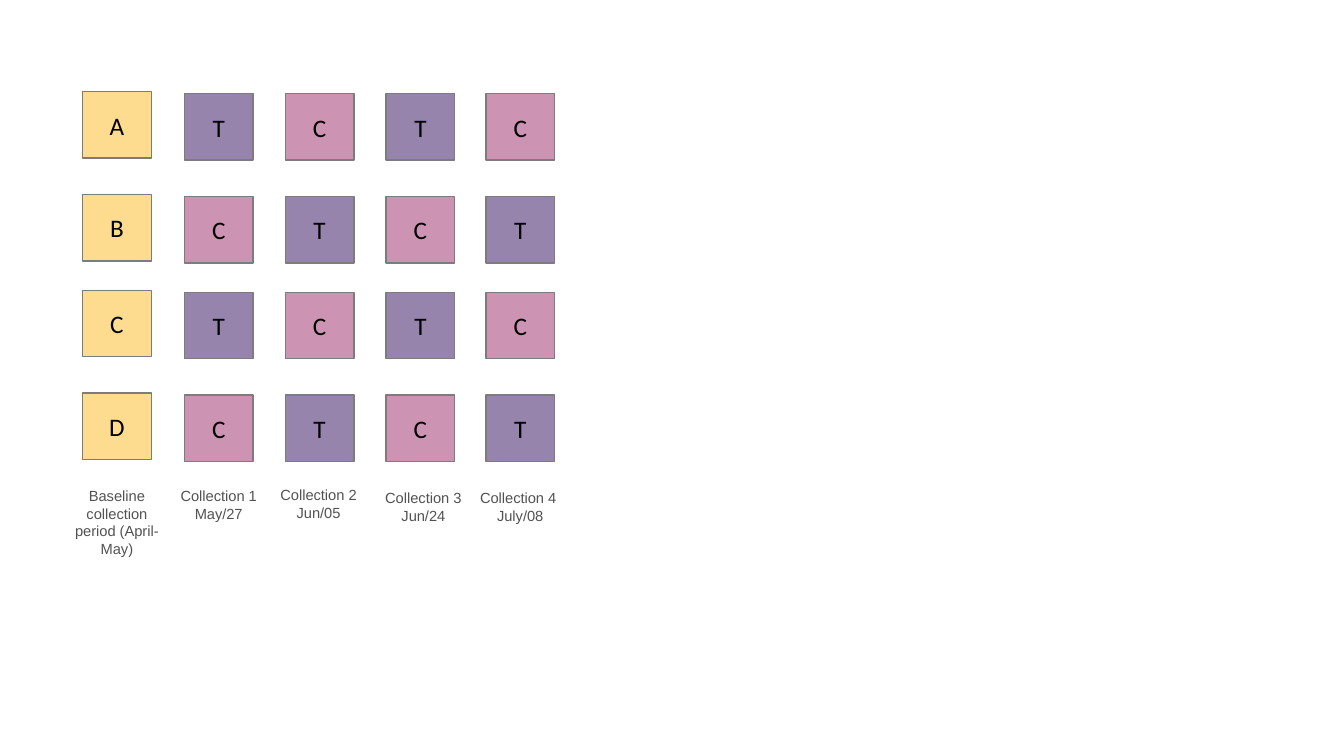
from pptx import Presentation
from pptx.dml.color import RGBColor
from pptx.enum import shapes, text
from pptx.util import Inches, Pt

COLORS = {"group": "FEDC8F", "T": "9684AC", "C": "CC94B2",
          "outline": "7C7C7C", "letter": "000000", "caption": "525252"}
TILE_WIDTH, TILE_HEIGHT = 0.68, 0.66
CAPTION_WIDTH = 1.04
ROW_OFFSETS = (0, 1.02, 1.97, 2.99)
PERIODS = [
    (0.82, 0.91, "ABCD", 0.64, 4.78, 0.81,
     ["Baseline", "collection period (April-May)"]),
    (1.83, 0.93, "TCTC", 1.65, 4.78, 0.63, ["Collection 1", "May/27"]),
    (2.83, 0.93, "CTCT", 2.64, 4.77, 0.45, ["Collection 2", "Jun/05"]),
    (3.83, 0.93, "TCTC", 3.68, 4.80, 0.45, ["Collection 3 Jun/24"]),
    (4.82, 0.93, "CTCT", 4.64, 4.80, 0.45, ["Collection 4 ", "July/08"]),
]


def color(name):
    """Return the named palette colour."""
    return RGBColor.from_string(COLORS[name])


def write(paragraph, wording, font, size, tint):
    """Add one centred run to a paragraph."""
    paragraph.alignment = text.PP_ALIGN.CENTER
    run = paragraph.add_run()
    run.text = wording
    run.font.name = font
    run.font.size = Pt(size)
    run.font.color.rgb = color(tint)


def add_tile(slide, left, top, letter, fill):
    """Draw one lettered square of the schedule."""
    tile = slide.shapes.add_shape(
        shapes.MSO_SHAPE.RECTANGLE, Inches(left), Inches(top),
        Inches(TILE_WIDTH), Inches(TILE_HEIGHT))
    tile.shadow.inherit = False
    tile.fill.solid()
    tile.fill.fore_color.rgb = color(fill)
    tile.line.color.rgb = color("outline")
    tile.line.width = Pt(1)
    tile.text_frame.vertical_anchor = text.MSO_ANCHOR.MIDDLE
    write(tile.text_frame.paragraphs[0], letter, "Calibri", 18, "letter")


def add_column(slide, left, top, letters, is_baseline):
    """Stack the four tiles of one collection period."""
    for letter, offset in zip(letters, ROW_OFFSETS):
        add_tile(slide, left, top + offset, letter,
                 "group" if is_baseline else letter)


def add_caption(slide, left, top, height, lines):
    """Write the period name and date below its column."""
    caption = slide.shapes.add_textbox(
        Inches(left), Inches(top), Inches(CAPTION_WIDTH), Inches(height))
    frame = caption.text_frame
    frame.word_wrap = True
    frame.auto_size = text.MSO_AUTO_SIZE.SHAPE_TO_FIT_TEXT
    for index, line in enumerate(lines):
        paragraph = frame.add_paragraph() if index else frame.paragraphs[0]
        write(paragraph, line, "Arial", 10.5, "caption")


def main():
    """Build the crossover schedule slide."""
    deck = Presentation()
    deck.slide_width, deck.slide_height = Inches(13.33), Inches(7.5)
    slide = deck.slides.add_slide(deck.slide_layouts[6])
    for index, period in enumerate(PERIODS):
        left, top, letters, *caption = period
        add_column(slide, left, top, letters, index == 0)
        add_caption(slide, *caption)
    deck.save("out.pptx")


if __name__ == "__main__":
    main()
